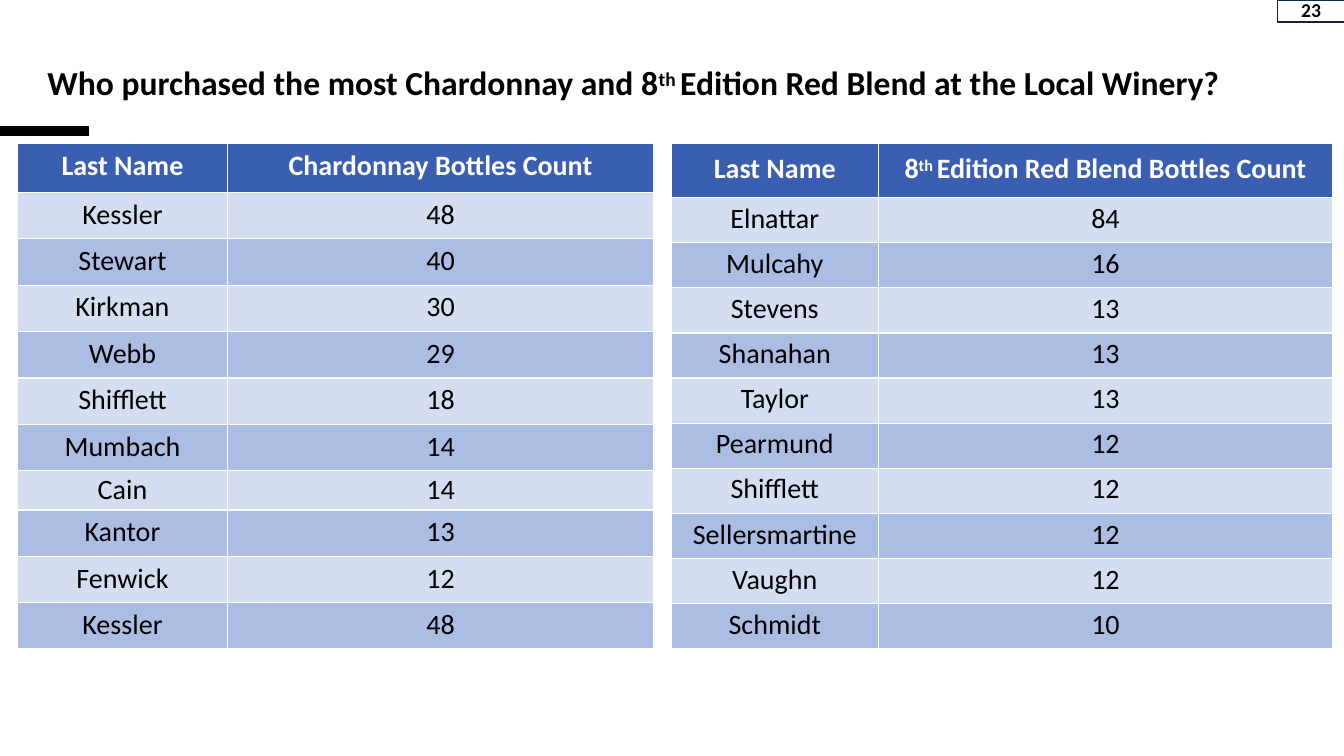
from lxml import etree
from pptx import Presentation
from pptx.dml.color import RGBColor
from pptx.enum.shapes import MSO_CONNECTOR, MSO_SHAPE
from pptx.enum.text import MSO_ANCHOR, PP_ALIGN
from pptx.oxml.ns import qn
from pptx.util import Inches, Pt

CENTER, LEFT, TOP = PP_ALIGN.CENTER, PP_ALIGN.LEFT, MSO_ANCHOR.TOP
TITLE_ONLY = 5
FONT = "Calibri"
BLACK, WHITE, NAVY = "000000", "FFFFFF", "132348"
HEADER_BLUE = "3A5FB0"
BANDS = ("D5DEF0", "ACBDE3")
BORDER_TAGS = ("a:lnL", "a:lnR", "a:lnT", "a:lnB")

CHARDONNAY = [
    ("Kessler", 48), ("Stewart", 40), ("Kirkman", 30), ("Webb", 29),
    ("Shifflett", 18), ("Mumbach", 14), ("Cain", 14), ("Kantor", 13),
    ("Fenwick", 12), ("Kessler", 48),
]
RED_BLEND = [
    ("Elnattar", 84), ("Mulcahy", 16), ("Stevens", 13), ("Shanahan", 13),
    ("Taylor", 13), ("Pearmund", 12), ("Shifflett", 12),
    ("Sellersmartine", 12), ("Vaughn", 12), ("Schmidt", 10),
]


def rgb(value):
    return RGBColor.from_string(value)


def write(frame, text, size, color, bold, align=CENTER):
    """Fill a text frame; text between bars is raised."""
    para = frame.paragraphs[0]
    parts = text.split("|")
    para.text = parts[0]
    for part in parts[1:]:
        para.add_run().text = part
    para.alignment = align
    for index, span in enumerate(para.runs):
        span.font.name = FONT
        span.font.size = Pt(size)
        span.font.bold = bold
        span.font.color.rgb = rgb(color)
        if index % 2:
            span.font._element.set("baseline", "25000")


def set_margins(target, top=0):
    target.margin_left = target.margin_right = target.margin_bottom = 0
    target.margin_top = Inches(top)


def add_borders(cell):
    properties = cell._tc.get_or_add_tcPr()
    for tag in BORDER_TAGS:
        line = etree.SubElement(properties, qn(tag), w=str(Pt(1)))
        fill = etree.SubElement(line, qn("a:solidFill"))
        etree.SubElement(fill, qn("a:srgbClr"), val=WHITE)


def add_title(page, left, top, width, height):
    title = page.shapes.title
    title.left, title.top = Inches(left), Inches(top)
    title.width, title.height = Inches(width), Inches(height)
    frame = title.text_frame
    frame.word_wrap = True
    frame.vertical_anchor = TOP
    set_margins(frame, 0.01)
    write(frame, "Who purchased the most Chardonnay and 8|th |"
          "Edition Red Blend at the Local Winery?", 24, BLACK, True, LEFT)


def add_title_rule(page, left, top, width):
    rule = page.shapes.add_connector(
        MSO_CONNECTOR.STRAIGHT, Inches(left), Inches(top),
        Inches(left + width), Inches(top))
    rule.line.color.rgb = rgb(BLACK)
    rule.line.width = Pt(6.75)
    etree.SubElement(rule._element.spPr, qn("a:effectLst"))


def add_page_number(page, left, top, width, height):
    box = page.shapes.add_shape(MSO_SHAPE.RECTANGLE, Inches(left), Inches(top),
                                Inches(width), Inches(height))
    box.shadow.inherit = False
    box.fill.background()
    box.line.color.rgb = rgb(NAVY)
    box.line.width = Pt(1.25)
    frame = box.text_frame
    frame.vertical_anchor = TOP
    set_margins(frame)
    write(frame, "23", 14, BLACK, True)
    frame.paragraphs[0].line_spacing = Pt(15.5)


def add_count_table(page, left, top, widths, heights, heading, counts, insets):
    """Place a banded name/count table; heights and insets run by row."""
    rows = [("Last Name", heading), *counts]
    table = page.shapes.add_table(
        len(rows), len(widths), Inches(left), Inches(top),
        Inches(sum(widths)), Inches(sum(heights))).table
    for column, width in zip(table.columns, widths):
        column.width = Inches(width)
    for index, values in enumerate(rows):
        table.rows[index].height = Inches(heights[index])
        header = index == 0
        for column, value in enumerate(values):
            cell = table.cell(index, column)
            add_borders(cell)
            cell.fill.solid()
            cell.fill.fore_color.rgb = rgb(
                HEADER_BLUE if header else BANDS[(index - 1) % 2])
            set_margins(cell, insets[index])
            cell.vertical_anchor = TOP
            write(cell.text_frame, str(value), 20,
                  WHITE if header else BLACK, header)


def main():
    deck = Presentation()
    deck.slide_width, deck.slide_height = Inches(13.33), Inches(7.5)
    page = deck.slides.add_slide(deck.slide_layouts[TITLE_ONLY])
    add_title_rule(page, 0, 1.3, 0.88)
    add_page_number(page, 12.67, 0, 0.67, 0.22)
    add_title(page, 0.47, 0.6, 11.93, 0.43)

    table_top, table_height, header_height = 1.42, 5.02, 0.54
    row_height = (table_height - header_height) / len(RED_BLEND)
    add_count_table(
        page, 6.66, table_top, (2.05, 4.51),
        [header_height] + [row_height] * len(RED_BLEND),
        "8|th |Edition Red Blend Bottles Count", RED_BLEND,
        [0.09] + [0.04] * len(RED_BLEND))
    add_count_table(
        page, 0.17, table_top, (2.09, 4.22),
        [0.49] + [0.46] * 6 + [0.39] + [0.46] * 3,
        "Chardonnay Bottles Count", CHARDONNAY,
        [0.06] + [0.05] * 6 + [0.02] + [0.05] * 3)
    deck.save("out.pptx")


if __name__ == "__main__":
    main()
